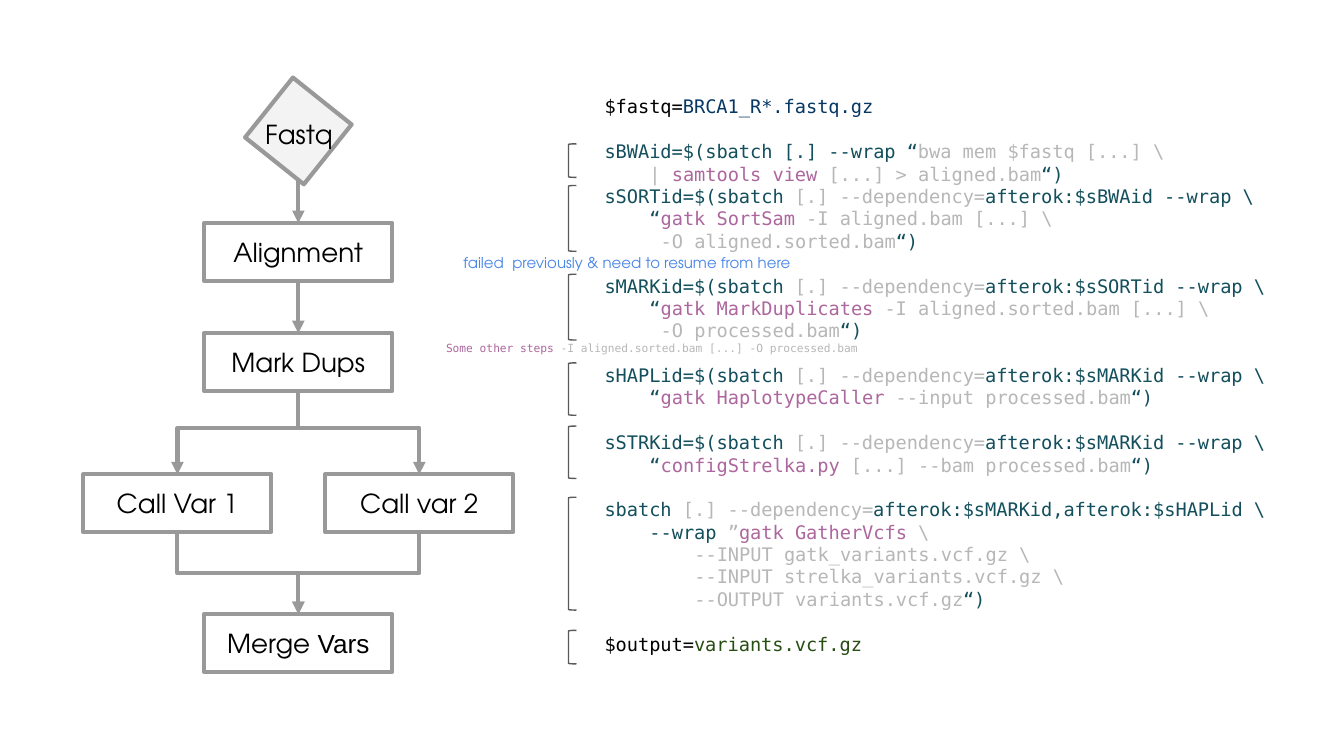
from lxml import etree
from pptx import Presentation
from pptx.dml.color import RGBColor
from pptx.enum.shapes import MSO_CONNECTOR, MSO_SHAPE
from pptx.enum.text import MSO_ANCHOR, PP_ALIGN
from pptx.oxml.ns import qn
from pptx.util import Inches, Pt

RECT, BRACKET = MSO_SHAPE.RECTANGLE, MSO_SHAPE.LEFT_BRACKET
STRAIGHT, ELBOW = MSO_CONNECTOR.STRAIGHT, MSO_CONNECTOR.ELBOW
MIDDLE, TOP = MSO_ANCHOR.MIDDLE, MSO_ANCHOR.TOP
LEFT, CENTER = PP_ALIGN.LEFT, PP_ALIGN.CENTER
SITE_TOP, SITE_BOTTOM = 0, 2

BLACK = RGBColor(0x00, 0x00, 0x00)
GRAY = RGBColor(0xB7, 0xB7, 0xB7)
TEAL = RGBColor(0x13, 0x4F, 0x5C)
PURPLE = RGBColor(0xAD, 0x67, 0x9E)
NAVY = RGBColor(0x07, 0x37, 0x63)
GREEN = RGBColor(0x27, 0x4E, 0x13)
BLUE = RGBColor(0x4A, 0x86, 0xE8)
LINE = RGBColor(0x99, 0x99, 0x99)
BRACKET_LINE = RGBColor(0x59, 0x59, 0x59)
PALE = RGBColor(0xF3, 0xF3, 0xF3)

SANS, MONO, ARIAL = "TeX Gyre Adventor", "DejaVu Sans Mono", "Arial"
CHAR_W = Pt(6.02)
STEP_W, STEP_H = 1.4, 0.43


def dependent(name, after):
    return [(f"{name}=$(sbatch ", TEAL), ("[.] --dependency=", GRAY),
            (f"afterok:${after} --wrap \\", TEAL)]


def command(tool, args, end=""):
    return [("“", TEAL), (tool, PURPLE), (args, GRAY), (end, TEAL)]


CODE = [
    [(0, [("$fastq=", BLACK), ("BRCA1_R*.fastq.gz", NAVY)])],
    [(0, [("sBWAid=$(sbatch [.] --wrap “", TEAL), ("bwa mem $fastq [...] \\", GRAY)]),
     (4, [("| ", GRAY), ("samtools view", PURPLE), (" [...] > aligned.bam", GRAY), ("“)", TEAL)]),
     (0, dependent("sSORTid", "sBWAid")),
     (4, command("gatk SortSam", " -I aligned.bam [...] \\")),
     (5, [("-O aligned.sorted.bam", GRAY), ("“)", TEAL)])],
    [(0, dependent("sMARKid", "sSORTid")),
     (4, command("gatk MarkDuplicates", " -I aligned.sorted.bam [...] \\")),
     (5, [("-O processed.bam", GRAY), ("“)", TEAL)])],
    [(0, dependent("sHAPLid", "sMARKid")),
     (4, command("gatk HaplotypeCaller", " --input processed.bam", "“)"))],
    [(0, dependent("sSTRKid", "sMARKid")),
     (4, command("configStrelka.py", " [...] --bam processed.bam", "“)"))],
    [(0, [("sbatch ", TEAL), ("[.] --dependency=", GRAY),
          ("afterok:$sMARKid,afterok:$sHAPLid \\", TEAL)]),
     (4, [("--wrap ", TEAL), ("”", GRAY), ("gatk GatherVcfs", PURPLE), (" \\", GRAY)]),
     (8, [("--INPUT gatk_variants.vcf.gz \\", GRAY)]),
     (8, [("--INPUT strelka_variants.vcf.gz \\", GRAY)]),
     (8, [("--OUTPUT variants.vcf.gz", GRAY), ("“)", TEAL)])],
    [(0, [("$output=", BLACK), ("variants.vcf.gz", GREEN)])],
]

BRACKETS = [(0.47, 0.25), (0.78, 0.49), (1.44, 0.49), (2.1, 0.39),
            (2.57, 0.39), (3.1, 0.84), (4.09, 0.25)]


def write(p, runs, size, font):
    for text, color in runs:
        if text:
            r = p.add_run()
            r.text = text
            r.font.size = Pt(size)
            r.font.name = font
            r.font.color.rgb = color


def set_frame(tf, anchor=TOP):
    tf.word_wrap = True
    tf.vertical_anchor = anchor
    tf.margin_left = tf.margin_right = tf.margin_top = tf.margin_bottom = Inches(0.1)


def add_text(shapes, x, y, w, h, runs, size, font, align=LEFT):
    tb = shapes.add_textbox(Inches(x), Inches(y), Inches(w), Inches(h))
    set_frame(tb.text_frame)
    p = tb.text_frame.paragraphs[0]
    p.alignment = align
    write(p, runs, size, font)
    return tb


def add_outline(shapes, kind, x, y, w, h, color, width):
    sp = shapes.add_shape(kind, Inches(x), Inches(y), Inches(w), Inches(h))
    sp.shadow.inherit = False
    sp.fill.background()
    sp.line.color.rgb = color
    sp.line.width = Pt(width)
    return sp


def add_step(slide, x, y, label):
    sp = add_outline(slide.shapes, RECT, x, y, STEP_W, STEP_H, LINE, 2.25)
    set_frame(sp.text_frame, MIDDLE)
    p = sp.text_frame.paragraphs[0]
    p.alignment = CENTER
    write(p, [(label, BLACK)], 14, SANS)
    return sp


def add_arrow(slide, kind, x1, y1, x2, y2):
    c = slide.shapes.add_connector(kind, x1, y1, x2, y2)
    c.line.color.rgb = LINE
    c.line.width = Pt(2.25)
    etree.SubElement(c.line._get_or_add_ln(), qn("a:tailEnd"), type="triangle")
    etree.SubElement(c._element.spPr, qn("a:effectLst"))
    return c


def join(slide, start, end, bend=0.5):
    x1, y1 = start.left + start.width // 2, start.top + start.height
    x2, y2 = end.left + end.width // 2, end.top
    straight = x1 == x2
    c = add_arrow(slide, STRAIGHT if straight else ELBOW, x1, y1, x2, y2)
    c.begin_connect(start, SITE_BOTTOM)
    c.end_connect(end, SITE_TOP)
    if straight:
        return
    run, drop = abs(x2 - x1), y2 - y1
    c.left, c.top = (x1 + x2 - drop) // 2, (y1 + y2 - run) // 2
    c.width, c.height = drop, run
    rightward = x2 > x1
    xfrm = c._element.spPr.find(qn("a:xfrm"))
    xfrm.set("rot", str((270 if rightward else 90) * 60000))
    xfrm.set("flipH", "1" if rightward else "0")
    xfrm.set("flipV", "0")
    geom = c._element.spPr.find(qn("a:prstGeom"))
    guides = geom.find(qn("a:avLst"))
    if guides is None:
        guides = etree.SubElement(geom, qn("a:avLst"))
    etree.SubElement(guides, qn("a:gd"), name="adj1", fmla=f"val {round(bend * 100000)}")


def flowchart(slide, x, y, w, h):
    mid = x + (w - STEP_W) / 2
    align = add_step(slide, mid, y + 1.09, "Alignment")
    mark = add_step(slide, mid, y + 1.91, "Mark Dups")
    calls = [add_step(slide, x, y + 2.96, "Call Var 1"),
             add_step(slide, x + w - STEP_W, y + 2.96, "Call var 2")]
    merge = add_step(slide, mid, y + h - STEP_H, "Merge")
    write(merge.text_frame.paragraphs[0], [(" Vars", BLACK)], 14, ARIAL)

    join(slide, align, mark)
    for call in calls:
        join(slide, mark, call, 0.44)
        join(slide, call, merge)

    shapes = slide.shapes.add_group_shape().shapes
    diamond = add_outline(shapes, RECT, x + 1.32, y + 0.12, 0.56, 0.57, LINE, 2.25)
    diamond.rotation = 38.6
    diamond.fill.solid()
    diamond.fill.fore_color.rgb = PALE
    add_text(shapes, x + 1.21, y + 0.21, 0.79, 0.39, [("Fastq", BLACK)], 14, SANS, CENTER)
    center = align.left + align.width // 2
    arrow = add_arrow(slide, STRAIGHT, center, Inches(y + 0.76), center, align.top)
    arrow.end_connect(align, SITE_TOP)


def code_panel(slide, x, y, w, h):
    tb = slide.shapes.add_textbox(Inches(x + 0.17), Inches(y + 0.01),
                                  Inches(w - 0.17), Inches(h))
    tf = tb.text_frame
    set_frame(tf)
    p = tf.paragraphs[0]
    for b, block in enumerate(CODE):
        for i, (indent, runs) in enumerate(block):
            if b or i:
                p = tf.add_paragraph()
            p.line_spacing = Pt(12)
            p.space_before = Pt(12 if b and i == 0 else 0)
            p._p.get_or_add_pPr().set("marL", str(indent * CHAR_W))
            write(p, runs, 10, MONO)
    for top, height in BRACKETS:
        sp = add_outline(slide.shapes, BRACKET, x, y + top, 0.06, height, BRACKET_LINE, 0.75)
        sp.adjustments[0] = 0.08


def side_notes(slide, x, y, w, h):
    add_text(slide.shapes, x, y + h - 0.25, w, 0.25,
             [("Some other steps", PURPLE),
              (" -I aligned.sorted.bam [...] -O processed.bam", GRAY)], 6, MONO)
    add_text(slide.shapes, x + 0.13, y, 2.73, 0.25,
             [("failed  previously & need to resume from here", BLUE)], 8, SANS)


def main():
    prs = Presentation()
    prs.slide_width = Inches(10)
    prs.slide_height = prs.slide_width * 9 // 16
    slide = prs.slides.add_slide(prs.slide_layouts[6])
    code_panel(slide, 4.23, 0.6, 5.57, 4.4)
    flowchart(slide, 0.62, 0.57, 3.2, 4.43)
    side_notes(slide, 3.22, 1.82, 3.38, 0.92)
    prs.save("out.pptx")


if __name__ == "__main__":
    main()
